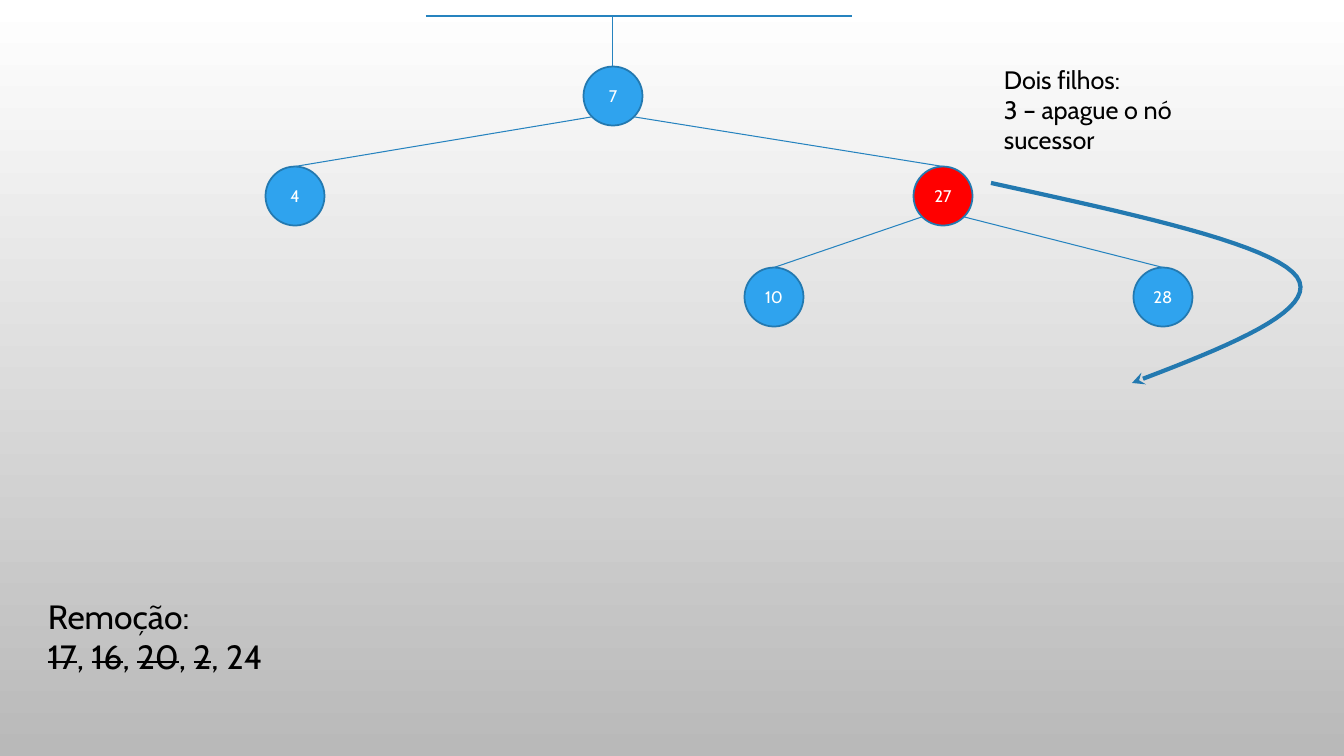
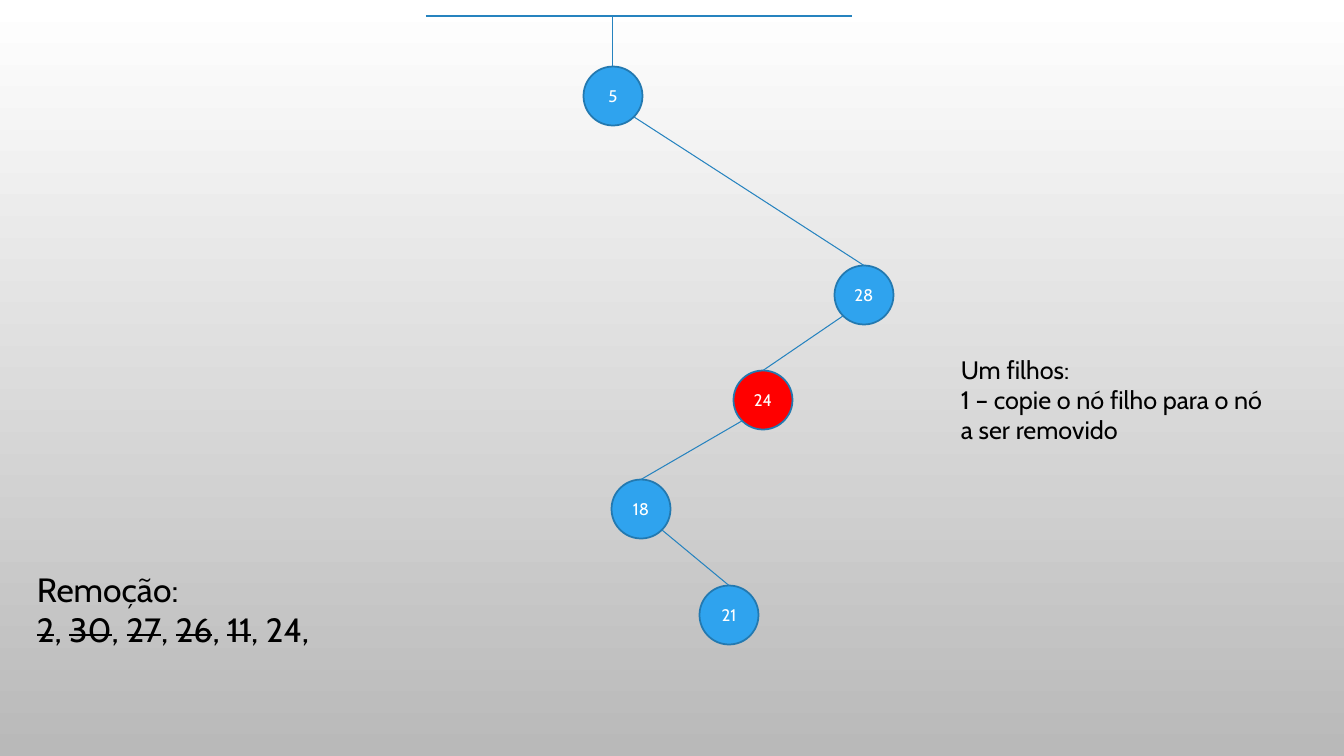
from math import sqrt

from lxml.etree import SubElement
from pptx import Presentation
from pptx.dml.color import RGBColor as RGB
from pptx.enum.shapes import MSO_CONNECTOR as LINK, MSO_SHAPE as SHAPE
from pptx.enum.text import MSO_ANCHOR as ANCHOR, MSO_AUTO_SIZE as AUTO, PP_ALIGN as ALIGN
from pptx.oxml.ns import qn
from pptx.util import Pt

SLIDE_W, SLIDE_H = 1344, 756
SCALE = 12192000 / SLIDE_W

THEME = {
    "font": "Cabin",
    "sky": ("FFFFFF", "B9B9B9"),
    "node": "2FA3EE", "removed": "FF0000", "outline": "2379B0", "edge": "2683BF",
    "label": "FFFFFF", "ink": "000000",
    "label_size": 12, "note_size": 18, "list_size": 24,
    "edge_width": 0.75, "outline_width": 1.25, "arrow_width": 3,
}

DIAMETER = 59
ROOT = (613, 96)
GROUND = (426, 852, 16)

SLIDES = [
    {
        "nodes": {7: ROOT, 4: (295, 196), 27: (943, 196), 10: (774, 297), 28: (1163, 297)},
        "edges": [(7, 27), (7, 4), (27, 10), (27, 28)],
        "target": 27,
        "removed": [17, 16, 20, 2], "pending": "24", "list_box": (38, 591, 256, 92),
        "note": ["Dois filhos:\v3 – apague o nó sucessor"], "note_box": (994, 59, 279, 72),
        "arrow": [(991, 183), (1132, 214), (1273, 244), (1297, 277),
                  (1320, 310), (1227, 347), (1132, 383)],
    },
    {
        "nodes": {5: ROOT, 28: (864, 295), 24: (763, 400), 18: (641, 509), 21: (729, 615)},
        "edges": [(5, 28), (28, 24), (24, 18), (18, 21)],
        "target": 24,
        "removed": [2, 30, 27, 26, 11], "pending": "24,", "list_box": (27, 564, 318, 132),
        "note": ["Um filhos:\v1 – copie o nó filho para o nó", "a ser removido"],
        "note_box": (951, 349, 326, 102),
    },
]


def px(*lengths):
    return [round(length * SCALE) for length in lengths]


def style_line(line, color, width):
    line.color.rgb = RGB.from_string(THEME[color])
    line.width = Pt(THEME[width])


def style_runs(paragraph, color, size):
    settings = {"name": THEME["font"], "size": Pt(THEME[size])}
    for run in paragraph.runs:
        for name, value in settings.items():
            setattr(run.font, name, value)
        run.font.color.rgb = RGB.from_string(THEME[color])


def add_edge(slide, start, end):
    edge = slide.shapes.add_connector(LINK.STRAIGHT, *px(*start, *end))
    style_line(edge.line, "edge", "edge_width")
    SubElement(edge._element.spPr, qn("a:effectLst"))
    return edge


def add_node(slide, key, center, is_target):
    x, y = center
    node = slide.shapes.add_shape(
        SHAPE.OVAL, *px(x - DIAMETER / 2, y - DIAMETER / 2, DIAMETER, DIAMETER))
    node.shadow.inherit = False
    node.fill.solid()
    node.fill.fore_color.rgb = RGB.from_string(THEME["removed" if is_target else "node"])
    style_line(node.line, "outline", "outline_width")
    frame = node.text_frame
    for name, value in {"margin_left": 0, "margin_right": 0, "margin_top": 0,
                        "margin_bottom": 0, "vertical_anchor": ANCHOR.MIDDLE}.items():
        setattr(frame, name, value)
    label = frame.paragraphs[0]
    label.text = str(key)
    label.alignment = ALIGN.CENTER
    style_runs(label, "label", "label_size")
    return node


def add_tree(slide, nodes, edges, target):
    left, right, ground = GROUND
    add_edge(slide, (left, ground), (right, ground))
    circles = {key: add_node(slide, key, center, key == target)
               for key, center in nodes.items()}
    root = next(iter(nodes))
    add_edge(slide, (ROOT[0], ground), ROOT).end_connect(circles[root], 0)
    reach = DIAMETER / 2 / sqrt(2)
    for parent, child in edges:
        x, y = nodes[parent]
        side = 1 if nodes[child][0] > x else -1
        edge = add_edge(slide, (x + side * reach, y + reach), nodes[child])
        edge.end_connect(circles[child], 0)


def add_text(slide, box, paragraphs, size):
    frame = slide.shapes.add_textbox(*px(*box)).text_frame
    frame.word_wrap = True
    frame.auto_size = AUTO.SHAPE_TO_FIT_TEXT
    for index, text in enumerate(paragraphs):
        paragraph = frame.add_paragraph() if index else frame.paragraphs[0]
        paragraph.text = text
        style_runs(paragraph, "ink", size)
    return frame


def add_removal_list(slide, box, removed, pending):
    frame = add_text(slide, box, ["Remoção:"], "list_size")
    keys = frame.add_paragraph()
    for key in removed:
        struck = keys.add_run()
        struck.text = str(key)
        struck._r.get_or_add_rPr().set("strike", "sngStrike")
        keys.add_run().text = ", "
    keys.add_run().text = pending
    style_runs(keys, "ink", "list_size")


def bezier(controls, steps=20):
    for step in range(1, steps + 1):
        t = step / steps
        weights = ((1 - t) ** 3, 3 * t * (1 - t) ** 2, 3 * t ** 2 * (1 - t), t ** 3)
        yield tuple(sum(w * point[axis] for w, point in zip(weights, controls))
                    for axis in (0, 1))


def add_arrow(slide, controls):
    builder = slide.shapes.build_freeform(*px(*controls[0]), scale=1.0)
    curve = [point for start in range(0, len(controls) - 1, 3)
             for point in bezier(controls[start:start + 4])]
    builder.add_line_segments([px(*point) for point in curve], close=False)
    arrow = builder.convert_to_shape()
    arrow.shadow.inherit = False
    arrow.fill.background()
    style_line(arrow.line, "outline", "arrow_width")
    SubElement(arrow.line._get_or_add_ln(), qn("a:tailEnd"), type="stealth")


def paint_background(master):
    fill = master.background.fill
    fill.gradient()
    fill.gradient_angle = 270
    for stop, position, color in zip(fill.gradient_stops, (0, 1), THEME["sky"]):
        stop.position = position
        stop.color.rgb = RGB.from_string(color)


def main():
    deck = Presentation()
    deck.slide_width, deck.slide_height = px(SLIDE_W, SLIDE_H)
    paint_background(deck.slide_master)
    for step in SLIDES:
        slide = deck.slides.add_slide(deck.slide_layouts[6])
        add_tree(slide, step["nodes"], step["edges"], step["target"])
        add_removal_list(slide, step["list_box"], step["removed"], step["pending"])
        add_text(slide, step["note_box"], step["note"], "note_size")
        if "arrow" in step:
            add_arrow(slide, step["arrow"])
    deck.save("out.pptx")


if __name__ == "__main__":
    main()
